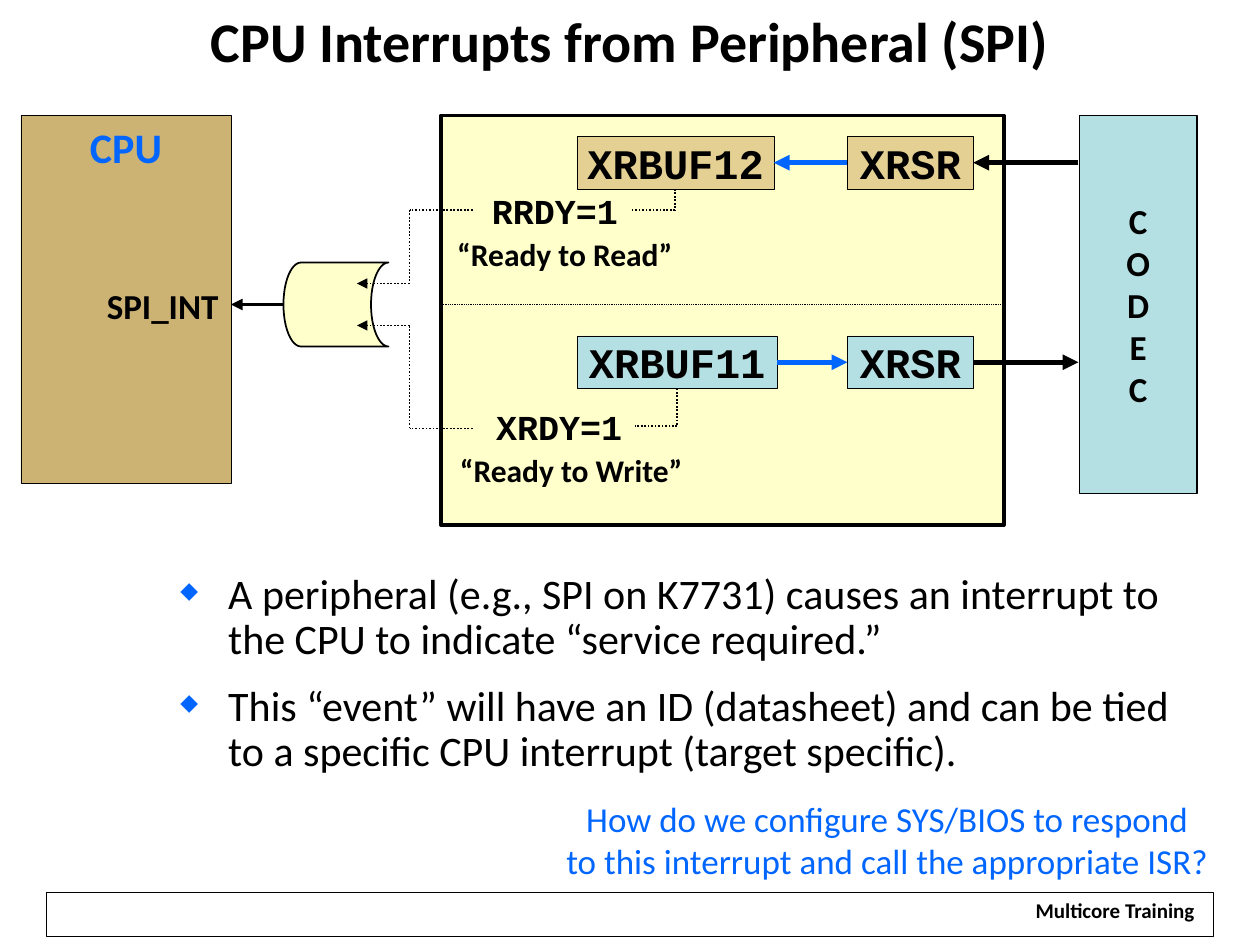
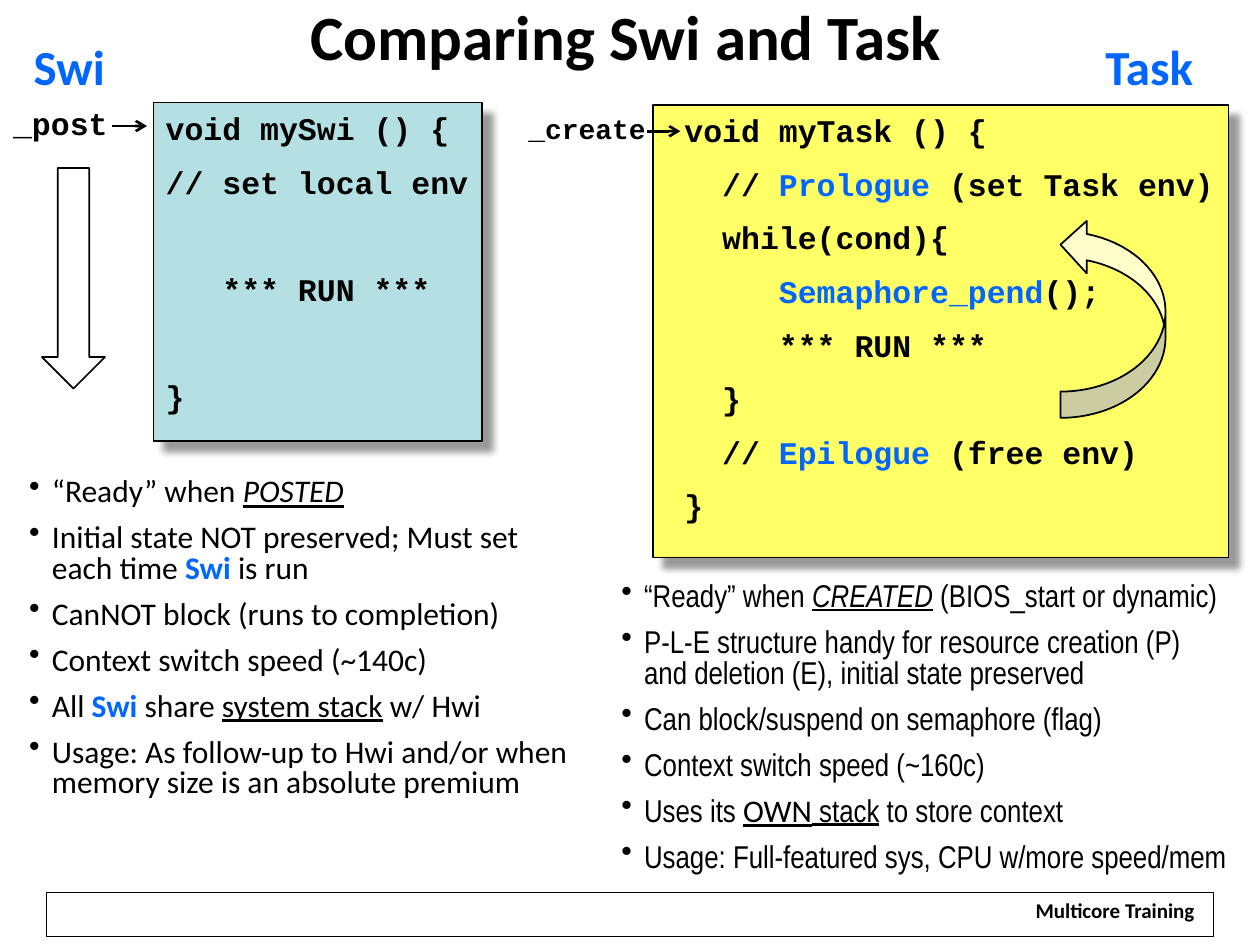
from dataclasses import dataclass
from typing import Any

from lxml import etree
from pptx import Presentation
from pptx.dml.color import RGBColor
from pptx.enum.dml import MSO_LINE
from pptx.enum.shapes import MSO_CONNECTOR, MSO_SHAPE
from pptx.enum.text import MSO_ANCHOR, PP_ALIGN
from pptx.oxml.ns import qn
from pptx.util import Inches, Pt

HUES = {
    "black": "000000", "white": "FFFFFF", "blue": "0066FF", "cream": "FFFFCC",
    "brown": "CCB374", "tan": "E5D093", "teal": "B5E0E3", "lemon": "FFFF66",
}
COLS, ROWS = 120, 90
CELL = Inches(10) / COLS
SANS, MONO, SLIM = "Calibri", "Courier New", "Arial Narrow"
RECT = MSO_SHAPE.RECTANGLE
GATE = MSO_SHAPE.FLOWCHART_STORED_DATA
DOWN = MSO_SHAPE.DOWN_ARROW
LOOP = MSO_SHAPE.CURVED_LEFT_ARROW
WIRE = MSO_CONNECTOR.STRAIGHT
DOTS = MSO_LINE.ROUND_DOT
TOP, MID, LOW = MSO_ANCHOR.TOP, MSO_ANCHOR.MIDDLE, MSO_ANCHOR.BOTTOM
LEFT, CENTER = PP_ALIGN.LEFT, PP_ALIGN.CENTER


@dataclass
class Box:
    at: tuple
    fill: str | None = None
    edge: float = 0
    kind: Any = RECT
    shade: bool = False
    flip: bool = False


@dataclass
class Label:
    at: tuple
    text: str
    size: int
    font: str = SANS
    color: str = "black"
    lead: float | None = None
    anchor: Any = MID


@dataclass
class Path:
    stops: list
    width: float
    color: str = "black"
    tip: str = ""
    dash: bool = False


def rgb(name: str) -> RGBColor:
    return RGBColor.from_string(HUES[name])


def cells(vals: tuple) -> list:
    return [round(v * CELL) for v in vals]


def node(root: Any, tag: str, **attrs: str) -> Any:
    return etree.SubElement(root, qn(tag), attrs)


def style(run: Any, font: str, size: float, color: str, bold: bool,
          ital: bool = False, under: bool = False) -> None:
    face = run.font
    face.name, face.size, face.bold = font, Pt(size), bold
    face.color.rgb = rgb(color)
    if ital:
        face.italic = True
    if under:
        face.underline = True


def bullet(para: Any, mark: str, dent: float, tint: str, scale: int) -> None:
    props = para._p.get_or_add_pPr()
    props.set("marL", str(Inches(dent)))
    props.set("indent", str(-Inches(dent)))
    node(node(props, "a:buClr"), "a:srgbClr", val=HUES[tint])
    if scale != 100:
        node(props, "a:buSzPct", val=str(scale * 1000))
    node(props, "a:buFontTx")
    node(props, "a:buChar", char=mark)


def write(shape: Any, text: Any, *, size: float, font: str = SANS,
          color: str = "black", bold: bool = False, align: Any = CENTER,
          anchor: Any = MID, wrap: bool = False, lead: float | None = None,
          gap: float = 0, mark: tuple | None = None,
          pads: tuple = (0.1, 0.05, 0.1, 0.05)) -> None:
    frame = shape.text_frame
    frame.word_wrap, frame.vertical_anchor = wrap, anchor
    (frame.margin_left, frame.margin_top,
     frame.margin_right, frame.margin_bottom) = map(Inches, pads)
    base = dict(font=font, size=size, color=color, bold=bold)
    skips = 0
    for num, item in enumerate([text] if isinstance(text, str) else text):
        if not item:
            skips += 1
            continue
        para = frame.add_paragraph() if num else frame.paragraphs[0]
        if mark:
            bullet(para, *mark)
        para.alignment = align
        if lead:
            para.line_spacing = lead
        if num and gap:
            para.space_before = Pt(gap * (1 + 3.4 * skips))
        skips = 0
        for part in [item] if isinstance(item, str) else item:
            words, more = (part, {}) if isinstance(part, str) else part
            for row, line in enumerate(words.split("\n")):
                if row:
                    para.add_line_break()
                run = para.add_run()
                run.text = line
                style(run, **{**base, **more})


def draw(slide: Any, box: Box) -> Any:
    shape = slide.shapes.add_shape(box.kind, *cells(box.at))
    if box.fill:
        shape.fill.solid()
        shape.fill.fore_color.rgb = rgb(box.fill)
    else:
        shape.fill.background()
    if box.edge:
        shape.line.color.rgb = rgb("black")
        shape.line.width = Pt(box.edge)
    else:
        shape.line.fill.background()
    shape.shadow.inherit = False
    props = shape._element.spPr
    if box.shade:
        glow = node(props.find(qn("a:effectLst")), "a:outerShdw",
                    blurRad=str(Pt(4)), dist=str(Pt(8)), dir="2700000",
                    algn="tl", rotWithShape="0")
        node(node(glow, "a:srgbClr", val=HUES["black"]), "a:alpha", val="40000")
    if box.flip:
        props.xfrm.set("flipV", "1")
    return shape


def area(slide: Any, at: tuple) -> Any:
    return slide.shapes.add_textbox(*cells(at))


def tag(slide: Any, item: Label) -> None:
    rim = 0.05 if item.anchor == TOP else 0
    write(area(slide, item.at), item.text, size=item.size, font=item.font,
          color=item.color, bold=True, lead=item.lead, anchor=item.anchor,
          pads=(0, rim, 0, rim))


def trace(slide: Any, path: Path) -> None:
    pairs = list(zip(path.stops, path.stops[1:]))
    for num, (start, end) in enumerate(pairs, 1):
        wire = slide.shapes.add_connector(WIRE, *cells(start + end))
        wire.line.color.rgb = rgb(path.color)
        wire.line.width = Pt(path.width)
        if path.dash:
            wire.line.dash_style = DOTS
        props = wire._element.spPr
        if path.tip and num == len(pairs):
            node(props.find(qn("a:ln")), "a:tailEnd", type=path.tip)
        node(props, "a:effectLst")


def start(deck: Any, title: str, size: int, at: tuple) -> Any:
    slide = deck.slides.add_slide(deck.slide_layouts[6])
    draw(slide, Box((4.4, 85, 111.2, 4.2), edge=0.75))
    foot = draw(slide, Box((97.3, 85.4, 17.8, 3.1), "white"))
    write(foot, "Multicore Training", size=12, bold=True, lead=0.8, anchor=TOP)
    write(area(slide, at), title, size=size, bold=True, anchor=TOP)
    return slide


def signals(deck: Any) -> None:
    slide = start(deck, "CPU Interrupts from Peripheral (SPI)", 32,
                  (0, 0, COLS, 9.7))
    draw(slide, Box((42, 11, 53.6, 39), "cream", 2.25))
    trace(slide, Path([(42, 29), (95.6, 29)], 0.5, dash=True))
    write(draw(slide, Box((2, 11, 20, 35), "brown", 0.25)), "CPU",
          size=24, color="blue", bold=True, anchor=TOP)
    write(draw(slide, Box((102.8, 11, 11.2, 36), "teal", 1)),
          "\n".join("CODEC"), size=20, bold=True, wrap=True)
    draw(slide, Box((27, 25, 10, 8), "cream", 1, GATE))
    for top, name, wide, fill in ((13, "XRBUF12", 18.7, "tan"),
                                  (32, "XRBUF11", 19, "teal")):
        for left, span, word in ((55, wide, name), (80.7, 12, "XRSR")):
            cell = draw(slide, Box((left, top, span, 5), fill, 0.25))
            write(cell, word, size=24, font=MONO, bold=True)
    for item in (
        Label((43, 22.4, 21.6, 3.6), "“Ready to Read”", 18),
        Label((43.2, 43, 22.4, 3.6), "“Ready to Write”", 18),
        Label((8.9, 26.4, 13.2, 5.3), "SPI_INT", 20),
        Label((45.6, 18, 14.5, 4), "RRDY=1", 20, MONO),
        Label((46, 38.6, 14.5, 4), "XRDY=1", 20, MONO),
    ):
        tag(slide, item)
    for path in (
        Path([(80.7, 15.5), (73.7, 15.5)], 3, "blue", "triangle"),
        Path([(102.7, 15.5), (92.7, 15.5)], 3, tip="triangle"),
        Path([(74, 34.5), (80.7, 34.5)], 3, "blue", "triangle"),
        Path([(92.7, 34.5), (102.7, 34.5)], 3, tip="triangle"),
        Path([(64.3, 18), (64.3, 20), (60.1, 20)], 1, dash=True),
        Path([(64.5, 37), (64.5, 40.6), (60.5, 40.6)], 1, dash=True),
        Path([(45, 20), (39, 20), (39, 27), (34, 27)], 1,
             tip="triangle", dash=True),
        Path([(45, 40.8), (39, 40.8), (39, 31), (34, 31)], 1,
             tip="triangle", dash=True),
        Path([(27, 29), (22, 29)], 2.25, tip="triangle"),
    ):
        trace(slide, path)
    write(area(slide, (16, 54, 97, 21)), [
        "A peripheral (e.g., SPI on K7731) causes an interrupt to "
        "the CPU to indicate “service required.”",
        "This “event” will have an ID (datasheet) and can be tied "
        "to a specific CPU interrupt (target specific).",
    ], size=24, align=LEFT, anchor=TOP, wrap=True, lead=0.9, gap=12,
        mark=("◆", 0.38, "blue", 55))
    write(area(slide, (49.8, 76, 69.4, 8)),
          "How do we configure SYS/BIOS to respond\n"
          "to this interrupt and call the appropriate ISR?",
          size=20, color="blue", anchor=LOW, wrap=True, pads=(0, 0, 0, 0))


def compare(deck: Any) -> None:
    slide = start(deck, "Comparing Swi and Task", 36, (-0.4, -0.8, COLS, 9.7))
    blue, swi = {"color": "blue"}, {"color": "blue", "bold": True}
    line, slope = {"under": True}, {"ital": True, "under": True}
    codes = (
        (Box((62.2, 10, 54.8, 43.1), "lemon", 1, shade=True), [
            " void myTask () {",
            ["   // ", ("Prologue", blue), " (set Task env)"],
            "   while(cond){",
            ["      ", ("Semaphore_pend", blue), "();"],
            "      *** RUN ***",
            "   }",
            ["   // ", ("Epilogue", blue), " (free env)"],
            " }",
        ]),
        (Box((14.6, 9.8, 31.3, 32.2), "teal", 0.75, shade=True), [
            "void mySwi () {", "// set local env", "", "   *** RUN ***", "", "}",
        ]),
    )
    for box, rows in codes:
        write(draw(slide, box), rows, size=18, font=MONO, bold=True, align=LEFT,
              anchor=TOP, wrap=True, gap=9, pads=(0.1, 0.05, 0, 0))
    draw(slide, Box((101, 20.8, 10, 19), "cream", 1, LOOP, flip=True))
    draw(slide, Box((4, 16, 6, 21), "white", 1, DOWN))
    for item in (
        Label((49, 10.7, 13.8, 3.8), "_create", 16, MONO, "black", 0.8, TOP),
        Label((0, 10, 11.5, 4), "_post", 18, MONO, "black", 0.8, TOP),
        Label((104, 4, 10.9, 5.9), "Task", 28, SANS, "blue", 0.8, TOP),
        Label((2, 4, 9.2, 5.9), "Swi", 28, SANS, "blue", 0.8, TOP),
    ):
        tag(slide, item)
    for left, end, row in ((61.6, 64.8, 12.5), (10.7, 14, 12)):
        trace(slide, Path([(left, row), (end, row)], 1.5, tip="arrow"))
    notes = (
        ((58, 55, 62, 30.6), SLIM, [
            ["“Ready” when ", ("CREATED", slope), " (BIOS_start or dynamic)"],
            "P-L-E structure handy for resource creation (P)\n"
            "and deletion (E), initial state preserved",
            "Can block/suspend on semaphore (flag)",
            "Context switch speed (~160c)",
            ["Uses its ", ("OWN", {"font": SANS, "under": True}),
             (" stack", line), " to store context"],
            "Usage: Full-featured sys, CPU w/more speed/mem",
        ]),
        ((1.6, 45, 56, 33.6), SANS, [
            ["“Ready” when ", ("POSTED", slope)],
            ["Initial state NOT preserved; Must set\neach time ",
             ("Swi", swi), " is run"],
            "CanNOT block (runs to completion)",
            "Context switch speed (~140c)",
            ["All ", ("Swi ", swi), "share ", ("system stack", line), " w/ Hwi"],
            "Usage: As follow-up to Hwi and/or when\n"
            "memory size is an absolute premium",
        ]),
    )
    for at, font, rows in notes:
        write(area(slide, at), rows, size=18, font=font, align=LEFT, anchor=TOP,
              wrap=True, lead=0.8, gap=9, mark=("•", 0.18, "black", 100))


def main() -> None:
    deck = Presentation()
    deck.slide_width, deck.slide_height = cells((COLS, ROWS))
    signals(deck)
    compare(deck)
    deck.save("out.pptx")


if __name__ == "__main__":
    main()
